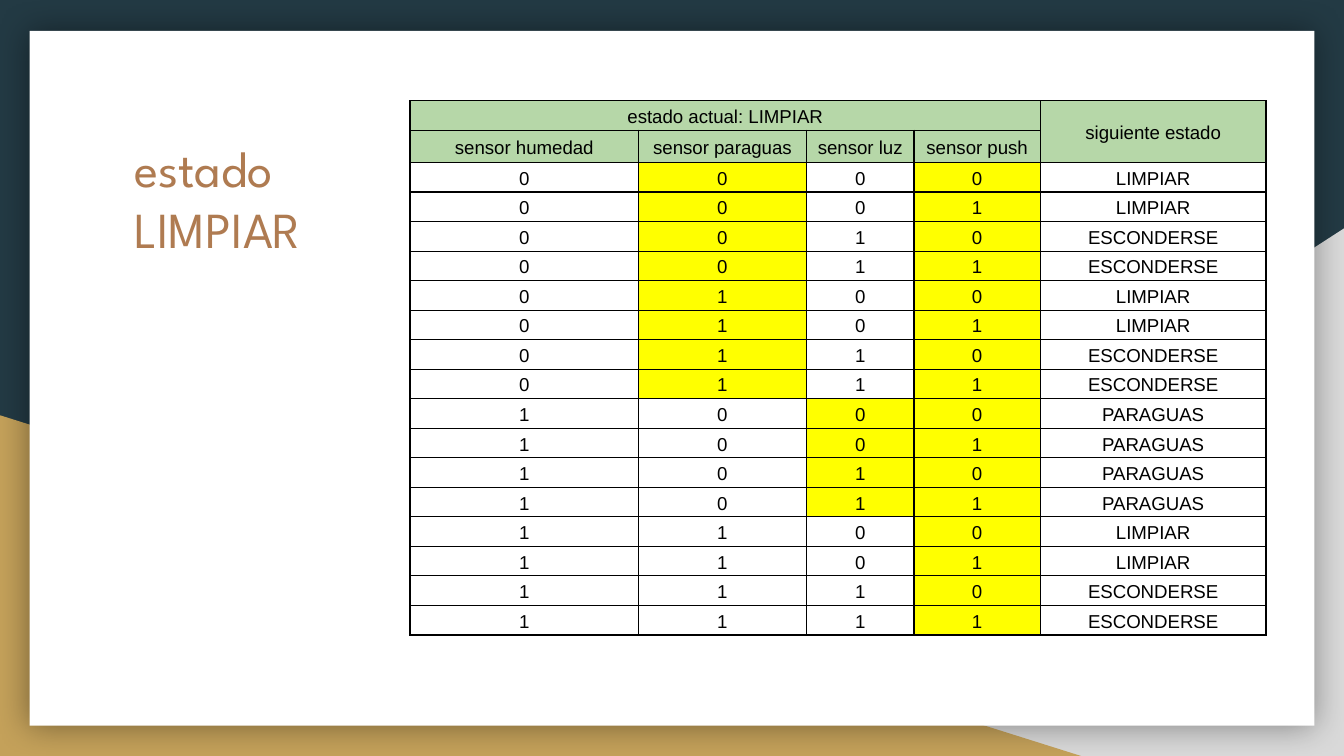
from itertools import product

from lxml.etree import SubElement
from pptx import Presentation
from pptx.dml.color import RGBColor
from pptx.enum.shapes import MSO_SHAPE as Shape
from pptx.enum.text import MSO_ANCHOR as Anchor, PP_ALIGN as Align
from pptx.oxml import parse_xml
from pptx.oxml.ns import nsdecls, qn
from pptx.util import Inches, Pt

NAVY = RGBColor(0x23, 0x3A, 0x44)
GREY = RGBColor(0xD9, 0xD9, 0xD9)
GOLD = RGBColor(0xC4, 0xA1, 0x5A)
WHITE = RGBColor(0xFF, 0xFF, 0xFF)
BLACK = RGBColor(0, 0, 0)
BROWN = RGBColor(0xAF, 0x7B, 0x51)
GREEN = RGBColor(0xB6, 0xD7, 0xA8)
YELLOW = RGBColor(0xFF, 0xFF, 0)

TITLE = "estado LIMPIAR"
STATE = "estado actual: LIMPIAR"
NEXT = "siguiente estado"
SENSORS = ["sensor humedad", "sensor paraguas", "sensor luz", "sensor push"]
# Next state for each humedad, paraguas, luz; push never changes it
RESULTS = ["LIMPIAR", "ESCONDERSE", "LIMPIAR", "ESCONDERSE",
           "PARAGUAS", "PARAGUAS", "LIMPIAR", "ESCONDERSE"]
WIDTHS = [1.7, 1.25, 0.8, 0.94, 1.68]
HEIGHTS = [0.22, 0.24] + [0.22] * 16


def ignored(wet, cover):
    """Columns whose sensor does not matter, shown in yellow."""
    if not wet:
        return {1, 3}
    return {3} if cover else {2, 3}


def add_block(slide, kind, box, color):
    block = slide.shapes.add_shape(kind, *map(Inches, box))
    block.shadow.inherit = False
    block.fill.solid()
    block.fill.fore_color.rgb = color
    block.line.fill.background()
    return block


def add_glow(block):
    """Give the block a soft shadow on all sides."""
    effects = block._element.spPr.find(qn("a:effectLst"))
    effects.append(parse_xml(
        f'<a:outerShdw {nsdecls("a")} blurRad="{Pt(18)}" dist="0" dir="0" '
        'algn="ctr" rotWithShape="0"><a:srgbClr val="000000">'
        '<a:alpha val="40000"/></a:srgbClr></a:outerShdw>'))


def set_cell(cell, text, color):
    props = cell._tc.get_or_add_tcPr()
    for side in ("lnL", "lnR", "lnT", "lnB"):
        line = SubElement(props, qn(f"a:{side}"), w=str(Pt(0.75)))
        fill = SubElement(line, qn("a:solidFill"))
        SubElement(fill, qn("a:srgbClr"), val=str(BLACK))
    cell.fill.solid()
    cell.fill.fore_color.rgb = color
    cell.margin_left = cell.margin_right = Inches(0.03)
    cell.margin_top = cell.margin_bottom = Inches(0.02)
    cell.vertical_anchor = Anchor.MIDDLE
    cell.text = text
    para = cell.text_frame.paragraphs[0]
    para.alignment = Align.CENTER
    para.line_spacing = 1.15
    para.font.name, para.font.size = "Arial", Pt(10)
    para.font.color.rgb = BLACK


def add_states(slide):
    frame = slide.shapes.add_table(
        len(HEIGHTS), len(WIDTHS), Inches(3.05), Inches(0.75),
        Inches(sum(WIDTHS)), Inches(sum(HEIGHTS)))
    table = frame.table
    table.first_row = table.horz_banding = False
    for col, width in zip(table.columns, WIDTHS):
        col.width = Inches(width)
    for row, height in zip(table.rows, HEIGHTS):
        row.height = Inches(height)

    heads = [[STATE, "", "", "", NEXT], SENSORS + [""]]
    for r, texts in enumerate(heads):
        for c, text in enumerate(texts):
            set_cell(table.cell(r, c), text, GREEN)
    table.cell(0, 0).merge(table.cell(0, 3))
    table.cell(0, 4).merge(table.cell(1, 4))

    for i, bits in enumerate(product((0, 1), repeat=4)):
        marked = ignored(*bits[:2])
        for c, value in enumerate([*bits, RESULTS[i // 2]]):
            set_cell(table.cell(i + 2, c), str(value),
                     YELLOW if c in marked else WHITE)


def set_title(slide):
    title = slide.shapes.title
    slide.shapes._spTree.append(title._element)  # in front of the panel
    title.left, title.top = Inches(0.9), Inches(0.92)
    title.width, title.height = Inches(1.8), Inches(1.04)
    frame = title.text_frame
    frame.text = TITLE
    frame.word_wrap = True
    frame.vertical_anchor = Anchor.TOP
    frame.margin_left = frame.margin_right = Inches(0.1)
    frame.margin_top = frame.margin_bottom = Inches(0.1)
    para = frame.paragraphs[0]
    para.alignment = Align.LEFT
    para.font.name, para.font.size = "League Spartan", Pt(27)
    para.font.color.rgb = BROWN


def main():
    deck = Presentation()
    deck.slide_width, deck.slide_height = Inches(10), Inches(10 * 9 / 16)
    slide = deck.slides.add_slide(deck.slide_layouts[5])
    slide.background.fill.solid()
    slide.background.fill.fore_color.rgb = NAVY

    right = add_block(slide, Shape.RIGHT_TRIANGLE, (3.92, 1.7, 6.08, 3.93), GREY)
    right._element.spPr.xfrm.set("flipH", "1")
    add_block(slide, Shape.RIGHT_TRIANGLE, (0, 3.09, 8.06, 2.54), GOLD)
    panel = add_block(slide, Shape.RECTANGLE, (0.22, 0.23, 9.56, 5.17), WHITE)
    add_glow(panel)
    set_title(slide)
    add_states(slide)
    deck.save("out.pptx")


if __name__ == "__main__":
    main()
